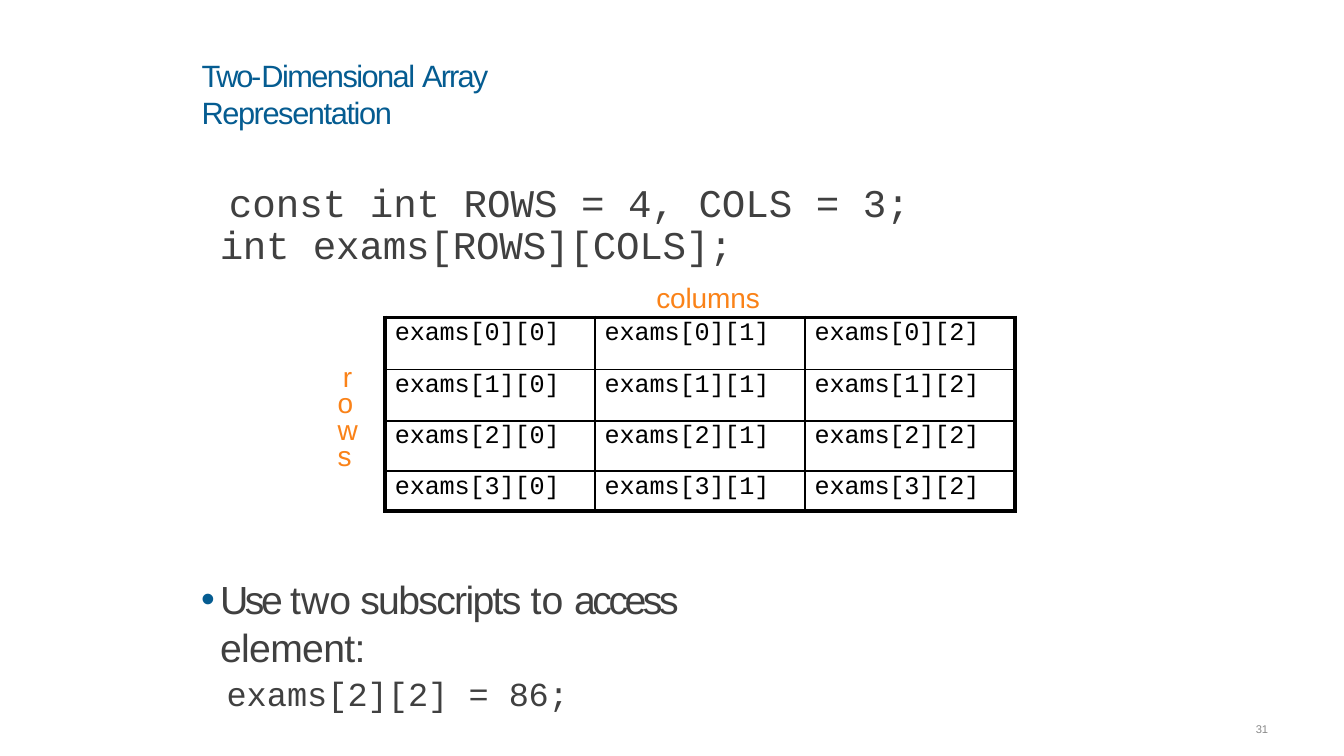
from pptx import Presentation
from pptx.dml.color import RGBColor as RGB
from pptx.enum.text import MSO_AUTO_SIZE as Fit, PP_ALIGN as Align
from pptx.oxml.ns import qn
from pptx.util import Cm, Pt
from lxml.etree import SubElement as Sub

SANS, MONO = "Arial", "Courier New"
BLUE, GREY, ORANGE, PALE, BLACK = "055C91", "404040", "FA8218", "898989", "000000"
THIN, THICK = 1.5, 3


def color(code):
    return RGB.from_string(code)


class Page:
    def __init__(self, deck):
        self.slide = deck.slides.add_slide(deck.slide_layouts[6])

    def box(self, left, top, width, height, inset=0.03):
        frame = self.slide.shapes.add_textbox(
            Cm(left), Cm(top), Cm(width), Cm(height)).text_frame
        frame.word_wrap = True
        frame.auto_size = Fit.SHAPE_TO_FIT_TEXT
        self.inset(frame, inset)
        return frame

    def inset(self, item, top):
        item.margin_left = item.margin_right = item.margin_bottom = 0
        item.margin_top = Cm(top)

    def para(self, par, parts, size, font, ink, before=1, left=0.03, indent=0):
        """Fill a paragraph from (text, letter spacing in points) pairs."""
        par.space_before = Pt(before)
        props = par._p.get_or_add_pPr()
        props.set("marL", str(Cm(left)))
        props.set("indent", str(Cm(indent)))
        for text, gap in parts:
            run = par.add_run()
            run.text = text
            run.font.size, run.font.name = Pt(size), font
            run.font.color.rgb = color(ink)
            run._r.get_or_add_rPr().set("spc", str(round(gap * 100)))
        return par

    def bullet(self, par, sign, ink):
        props = par._p.get_or_add_pPr()
        Sub(Sub(props, qn("a:buClr")), qn("a:srgbClr"), val=ink)
        Sub(props, qn("a:buFont"), typeface=SANS)
        Sub(props, qn("a:buChar"), char=sign)

    def edge(self, cell, side, width):
        line = Sub(cell._tc.get_or_add_tcPr(), qn("a:ln" + side), w=str(Pt(width)))
        Sub(Sub(line, qn("a:solidFill")), qn("a:srgbClr"), val=BLACK)

    def grid(self, left, top, wide, cols, highs, name):
        rows = len(highs)
        table = self.slide.shapes.add_table(
            rows, cols, Cm(left), Cm(top), Cm(wide * cols), Cm(sum(highs))).table
        table.first_row = table.horz_banding = False
        for col in table.columns:
            col.width = Cm(wide)
        for r, high in enumerate(highs):
            table.rows[r].height = Cm(high)
            for c in range(cols):
                cell = table.cell(r, c)
                self.inset(cell, 0.05)
                self.para(cell.text_frame.paragraphs[0], [(f"{name}[{r}][{c}]", -0.1)],
                          18, MONO, BLACK, before=1.6, left=0.25)
                # Thick lines on the outer edge only
                outer = {"L": c == 0, "R": c == cols - 1, "T": r == 0, "B": r == rows - 1}
                for side, thick in outer.items():
                    self.edge(cell, side, THICK if thick else THIN)
                cell.fill.background()


def main():
    deck = Presentation()
    deck.slide_width, deck.slide_height = Cm(33.87), Cm(19.05)
    page = Page(deck)

    # Heading and page number
    head = page.box(5.05, 1.4, 12.15, 0.99)
    page.para(head.paragraphs[0], [("Two-", -1.6), ("Dimensional ", -1.1), ("Array ", -1.3),
                                   ("Representation", -1)], 22, SANS, BLUE)
    num = page.box(31.55, 18.16, 0.53, 0.41)
    page.para(num.paragraphs[0], [("31", -0.2)], 8, SANS, PALE, before=0.6, left=0.1)

    # Declaration
    code = page.box(5.51, 4.45, 19.6, 2.31, inset=0.18)
    decl = page.para(code.paragraphs[0], [("const int ROWS = 4, COLS = 3; ", 0), ("int ", -0.2),
                                          ("exams[ROWS][COLS];", -0.1)],
                     28, MONO, GREY, before=5, indent=0.23)
    decl.line_spacing = Pt(30)

    # Access rule and example
    rule = page.box(5.05, 14.38, 15.77, 2.44, inset=0.13)
    use = page.para(rule.paragraphs[0], [("Use ", -2.5), ("two", 0), (" subscripts ", -1.2),
                                         ("to ", 0), ("access ", -2.5), ("element:", -0.5)],
                    28, SANS, GREY, before=3.7, left=0.5, indent=-0.48)
    page.bullet(use, "•", BLUE)
    page.para(rule.add_paragraph(), [("exams[2][2] = ", 0), ("86;", -0.2)],
              24, MONO, GREY, before=2.3, left=0.66)

    # Array with its labels
    page.grid(9.7, 8, 5.29, 3, [1.31, 1.29, 1.27, 1.01], "exams")
    top = page.box(16.51, 7.04, 2.7, 0.91)
    page.para(top.paragraphs[0], [("columns", -0.1)], 20, SANS, ORANGE)
    side = page.box(8.51, 9.02, 0.51, 2.92, inset=0.2)
    rows = page.para(side.paragraphs[0], [("r o w s", -0.5)], 20, SANS, ORANGE,
                     before=6, left=0, indent=0.13)
    rows.alignment = Align.JUSTIFY
    rows.line_spacing = 0.79

    deck.save("out.pptx")


if __name__ == "__main__":
    main()
